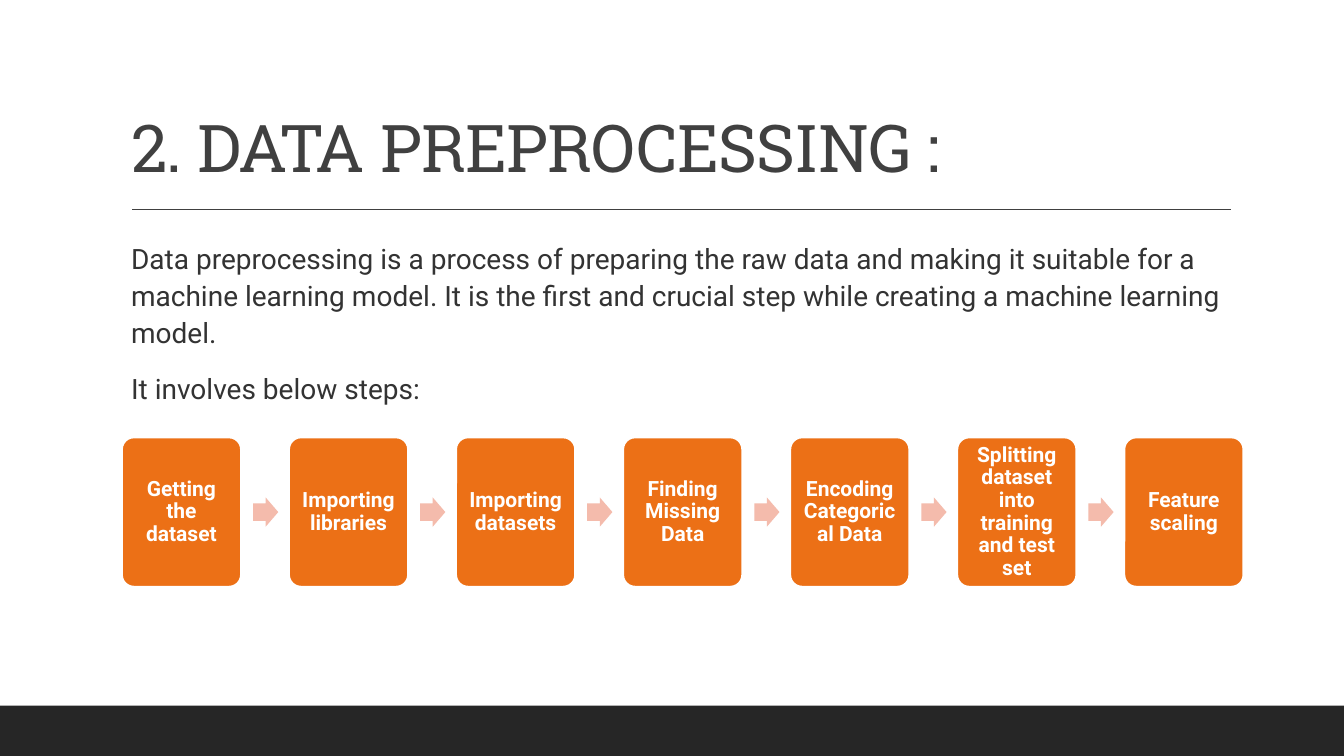
from lxml.etree import SubElement
from pptx import Presentation
from pptx.dml.color import RGBColor
from pptx.enum.shapes import MSO_CONNECTOR, MSO_SHAPE
from pptx.enum.text import MSO_ANCHOR, MSO_AUTO_SIZE, PP_ALIGN
from pptx.oxml.ns import qn
from pptx.util import Inches, Pt

# Page and column grid, in inches
SLIDE_WIDTH, SLIDE_HEIGHT = 13.33, 7.5
LEFT, CONTENT_WIDTH = 1.2, 11
FOOTER_HEIGHT = SLIDE_HEIGHT / 15

# Process row, in inches
STEP_TOP, STEP_WIDTH, STEP_HEIGHT = 4.34, 1.18, 1.48
STEP_PITCH = 1.657
ARROW_WIDTH, ARROW_HEIGHT = 0.25, 0.29

ORANGE, PINK, WHITE = "EC7016", "F4BBAC", "FFFFFF"
DARK, GREY, TEXT = "262626", "404040", "333333"

TITLE = "2. DATA PREPROCESSING :"
INTRODUCTION = [
    ("Data preprocessing is a process of preparing the raw data and making it "
     "suitable for a machine learning model. It is the first and crucial step "
     "while creating a machine learning model.", PP_ALIGN.LEFT),
    ("It involves below steps:", PP_ALIGN.JUSTIFY),
]
STEPS = [
    "Getting the dataset",
    "Importing libraries",
    "Importing datasets",
    "Finding Missing Data",
    "Encoding Categorical Data",
    "Splitting dataset into training and test set",
    "Feature scaling",
]


def color(hex_value):
    return RGBColor.from_string(hex_value)


def place(shape, left, top, width, height):
    shape.left, shape.top = Inches(left), Inches(top)
    shape.width, shape.height = Inches(width), Inches(height)


def format_frame(frame, anchor, horizontal, vertical):
    frame.word_wrap = True
    frame.auto_size = MSO_AUTO_SIZE.NONE
    frame.vertical_anchor = anchor
    frame.margin_left = frame.margin_right = Inches(horizontal)
    frame.margin_top = frame.margin_bottom = Inches(vertical)


def add_run(paragraph, text, font_name, size, hex_value, bold=False):
    run = paragraph.add_run()
    run.text = text
    run.font.name = font_name
    run.font.size = Pt(size)
    run.font.bold = bold
    run.font.color.rgb = color(hex_value)
    return run


def add_filled_shape(slide, kind, left, top, width, height, fill):
    shape = slide.shapes.add_shape(
        kind, Inches(left), Inches(top), Inches(width), Inches(height))
    shape.shadow.inherit = False
    shape.fill.solid()
    shape.fill.fore_color.rgb = color(fill)
    shape.line.fill.background()
    return shape


def add_rule(slide, left, right, top):
    rule = slide.shapes.add_connector(
        MSO_CONNECTOR.STRAIGHT, Inches(left), Inches(top), Inches(right), Inches(top))
    rule.line.color.rgb = color(GREY)
    rule.line.width = Pt(1)
    SubElement(rule._element.spPr, qn("a:effectLst"))


def fill_title(title):
    place(title, LEFT, 0.31, CONTENT_WIDTH, 1.59)
    format_frame(title.text_frame, MSO_ANCHOR.BOTTOM, 0.1, 0.05)
    paragraph = title.text_frame.paragraphs[0]
    paragraph.alignment = PP_ALIGN.LEFT
    paragraph.line_spacing = 0.9
    run = add_run(paragraph, TITLE, "Roboto Slab", 47, GREY)
    run.font._element.set("spc", "-50")


def fill_body(body):
    place(body, LEFT, 2.31, CONTENT_WIDTH, 1.83)
    frame = body.text_frame
    format_frame(frame, MSO_ANCHOR.TOP, 0, 0.05)
    for index, (text, alignment) in enumerate(INTRODUCTION):
        paragraph = frame.add_paragraph() if index else frame.paragraphs[0]
        properties = paragraph._p.get_or_add_pPr()
        properties.set("marL", str(Inches(0.1)))
        properties.set("indent", "0")
        SubElement(properties, qn("a:buNone"))
        paragraph.alignment = alignment
        paragraph.line_spacing = 1.1
        paragraph.space_before = Pt(12 if index else 0)
        paragraph.space_after = Pt(2)
        add_run(paragraph, text, "Roboto", 20, TEXT)


def add_step(slide, left, text):
    step = add_filled_shape(slide, MSO_SHAPE.ROUNDED_RECTANGLE,
                            left, STEP_TOP, STEP_WIDTH, STEP_HEIGHT, ORANGE)
    step.adjustments[0] = 0.1
    step.line.color.rgb = color(WHITE)
    step.line.width = Pt(1.25)
    format_frame(step.text_frame, MSO_ANCHOR.MIDDLE, 0.09, 0.06)
    paragraph = step.text_frame.paragraphs[0]
    paragraph.alignment = PP_ALIGN.CENTER
    paragraph.line_spacing = 0.9
    add_run(paragraph, text, "Roboto", 15, WHITE, bold=True)


def add_arrow(slide, left):
    top = STEP_TOP + (STEP_HEIGHT - ARROW_HEIGHT) / 2
    arrow = add_filled_shape(slide, MSO_SHAPE.RIGHT_ARROW,
                             left, top, ARROW_WIDTH, ARROW_HEIGHT, PINK)
    arrow.adjustments[0] = 0.6
    arrow.adjustments[1] = 0.5


def add_process(slide):
    for index, text in enumerate(STEPS):
        left = LEFT + 0.01 + index * STEP_PITCH
        add_step(slide, left, text)
        if index < len(STEPS) - 1:
            add_arrow(slide, left + STEP_WIDTH + 0.12)


def main():
    presentation = Presentation()
    presentation.slide_width = Inches(SLIDE_WIDTH)
    presentation.slide_height = Inches(SLIDE_HEIGHT)
    slide = presentation.slides.add_slide(presentation.slide_layouts[1])

    # Footer band and title rule
    add_filled_shape(slide, MSO_SHAPE.RECTANGLE, 0, SLIDE_HEIGHT - FOOTER_HEIGHT,
                     SLIDE_WIDTH, FOOTER_HEIGHT, DARK)
    add_rule(slide, 1.31, 12.21, 2.08)

    # Title and introduction
    fill_title(slide.shapes.title)
    fill_body(slide.placeholders[1])

    # Process steps
    add_process(slide)

    presentation.save("out.pptx")


if __name__ == "__main__":
    main()
